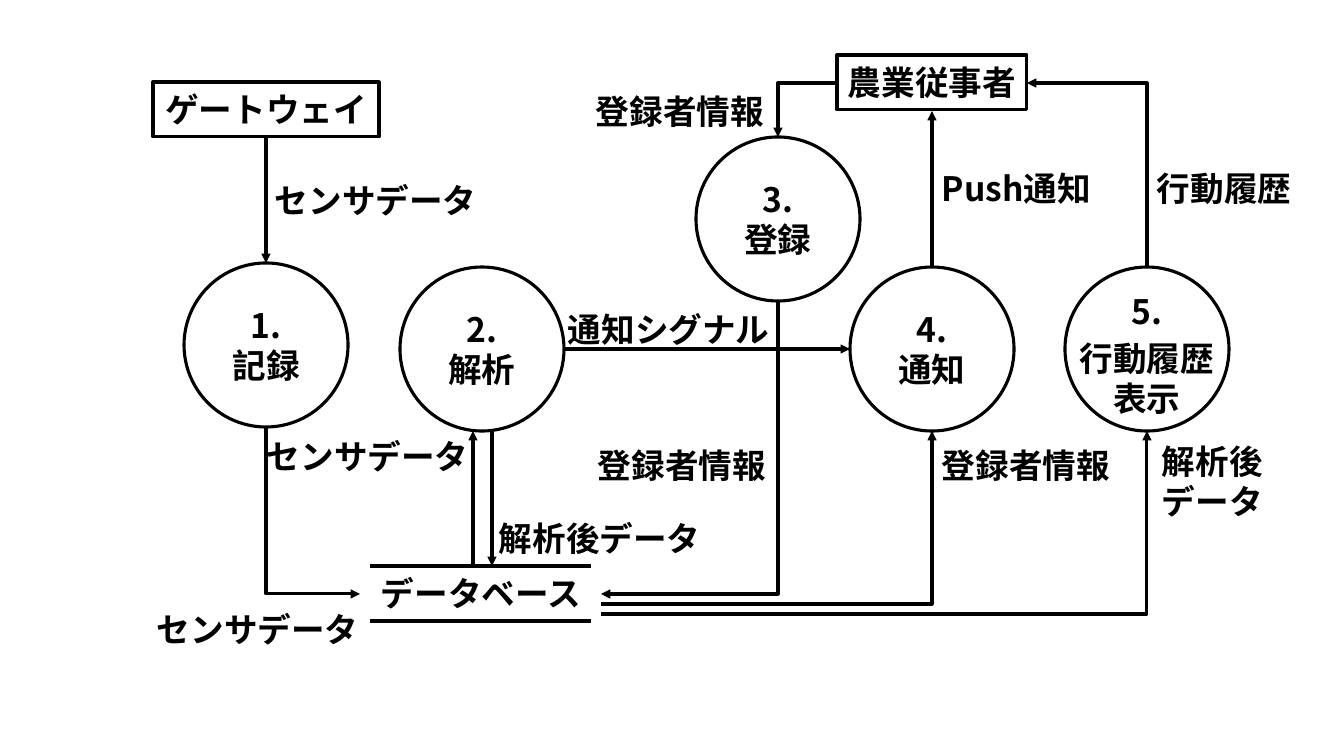
from dataclasses import dataclass

from lxml import etree
from pptx import Presentation
from pptx.dml.color import RGBColor
from pptx.enum.shapes import MSO_CONNECTOR, MSO_SHAPE
from pptx.enum.text import MSO_ANCHOR, PP_ALIGN
from pptx.oxml.ns import qn
from pptx.util import Emu, Pt

RECTANGLE, CIRCLE = MSO_SHAPE.RECTANGLE, MSO_SHAPE.OVAL
STRAIGHT, ELBOW = MSO_CONNECTOR.STRAIGHT, MSO_CONNECTOR.ELBOW
TOP, MIDDLE = MSO_ANCHOR.TOP, MSO_ANCHOR.MIDDLE
LEFT, CENTER = PP_ALIGN.LEFT, PP_ALIGN.CENTER

EMU_PER_INCH = 914400
PX_PER_INCH = 100.8
DIAMETER = 164
BOX_HEIGHT = 55
CHAR_WIDTH = 34
LABEL_PADDING = 20
LINE_HEIGHT = 41


@dataclass(frozen=True)
class Theme:
    ink: RGBColor = RGBColor(0, 0, 0)
    paper: RGBColor = RGBColor(255, 255, 255)
    font: str = "Noto Sans CJK JP"
    text_size: Pt = Pt(24)
    line_width: Pt = Pt(2.25)


THEME = Theme()


def px(length):
    return Emu(round(length * EMU_PER_INCH / PX_PER_INCH))


def write_lines(frame, lines, align, anchor):
    frame.word_wrap = True
    frame.vertical_anchor = anchor
    for index, line in enumerate(lines):
        para = frame.add_paragraph() if index else frame.paragraphs[0]
        para.text = line
        para.alignment = align
        font = para.font
        font.name = THEME.font
        font.size = THEME.text_size
        font.bold = True
        font.color.rgb = THEME.ink
        defaults = para._p.pPr.find(qn("a:defRPr"))
        etree.SubElement(defaults, qn("a:ea"), typeface=THEME.font)


def add_node(page, kind, left, top, width, height, lines, outlined=True, anchor=MIDDLE):
    node = page.shapes.add_shape(kind, px(left), px(top), px(width), px(height))
    node.shadow.inherit = False
    node.fill.solid()
    node.fill.fore_color.rgb = THEME.paper
    if outlined:
        node.line.color.rgb = THEME.ink
        node.line.width = THEME.line_width
    else:
        node.line.fill.background()
    write_lines(node.text_frame, lines, CENTER, anchor)
    return node


def add_process(page, center_x, center_y, *lines, anchor=MIDDLE):
    radius = DIAMETER // 2
    return add_node(page, CIRCLE, center_x - radius, center_y - radius,
                    DIAMETER, DIAMETER, lines, anchor=anchor)


def add_label(page, left, top, *lines, width=None, align=LEFT):
    width = width or LABEL_PADDING + CHAR_WIDTH * max(map(len, lines))
    height = 9 + LINE_HEIGHT * len(lines)
    box = page.shapes.add_textbox(px(left), px(top), px(width), px(height))
    write_lines(box.text_frame, lines, align, TOP)


def add_line(page, start, end, kind=STRAIGHT, arrow=None):
    """Draw a line; arrow names the end that gets a triangle: headEnd or tailEnd."""
    line = page.shapes.add_connector(kind, *map(px, (*start, *end)))
    line.line.color.rgb = THEME.ink
    line.line.width = THEME.line_width
    properties = line._element.spPr
    if arrow:
        etree.SubElement(properties.find(qn("a:ln")), qn(f"a:{arrow}"), type="triangle")
    etree.SubElement(properties, qn("a:effectLst"))
    return line


def add_corner(page, start, end, arrow):
    """Join two points by one right angle, horizontal from start, vertical to end."""
    line = add_line(page, start, end, ELBOW, arrow)
    line._element.spPr.find(qn("a:prstGeom")).set("prst", "bentConnector2")


def add_database(page):
    top, bottom = 566, 566 + BOX_HEIGHT
    add_node(page, RECTANGLE, 360, top, 242, BOX_HEIGHT, ["データベース"], outlined=False)
    for y in (top, bottom):
        add_line(page, (370, y), (591, y))


def add_nodes(page):
    add_node(page, RECTANGLE, 837, 55, 190, BOX_HEIGHT, ["農業従事者"])
    add_node(page, RECTANGLE, 153, 82, 226, BOX_HEIGHT, ["ゲートウェイ"])
    add_database(page)
    add_process(page, 266, 345, "1.", "記録")
    add_process(page, 482, 349, "2.", "解析")
    add_process(page, 778, 219, "3.", "登録")
    add_process(page, 932, 349, "4.", "通知")
    history = add_process(page, 1147, 349, "5.", anchor=TOP)
    history.text_frame.margin_top = 0
    add_label(page, 1069, 333, "行動履歴", "表示", align=CENTER)


def add_flows(page):
    for start, end in (
        ((266, 137), (266, 263)),
        ((473, 566), (473, 431)),
        ((492, 431), (492, 566)),
        ((564, 349), (850, 349)),
        ((932, 267), (932, 111)),
    ):
        add_line(page, start, end, arrow="tailEnd")
    for start, end, arrow in (
        ((360, 594), (266, 427), "headEnd"),
        ((601, 594), (778, 301), "headEnd"),
        ((837, 83), (778, 137), "tailEnd"),
        ((601, 604), (932, 431), "tailEnd"),
        ((601, 614), (1147, 431), "tailEnd"),
        ((1027, 83), (1147, 267), "headEnd"),
    ):
        add_corner(page, start, end, arrow)


def add_flow_labels(page):
    for left, top, *lines in (
        (265, 175, "センサデータ"),
        (147, 604, "センサデータ"),
        (257, 431, "センサデータ"),
        (489, 513, "解析後データ"),
        (558, 304, "通知シグナル"),
        (588, 440, "登録者情報"),
        (586, 86, "登録者情報"),
        (932, 440, "登録者情報"),
        (1152, 436, "解析後", "データ"),
        (1147, 163, "行動履歴"),
    ):
        add_label(page, left, top, *lines)
    add_label(page, 932, 163, "Push通知", width=171)


def main():
    deck = Presentation()
    deck.slide_width, deck.slide_height = px(1344), px(756)
    blank_layout = deck.slide_layouts[6]
    page = deck.slides.add_slide(blank_layout)
    add_nodes(page)
    add_flows(page)
    add_flow_labels(page)
    deck.save("out.pptx")


if __name__ == "__main__":
    main()
